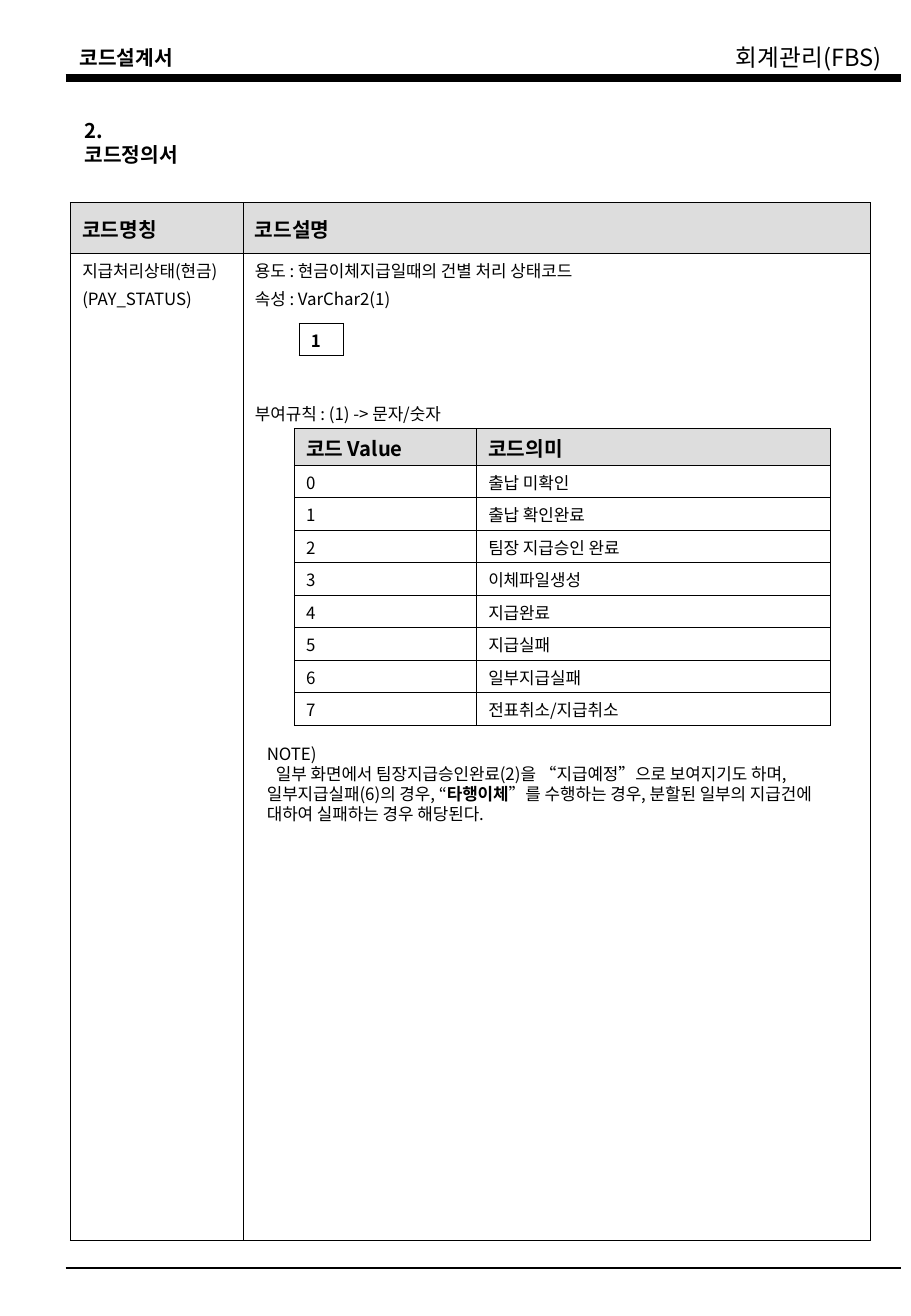
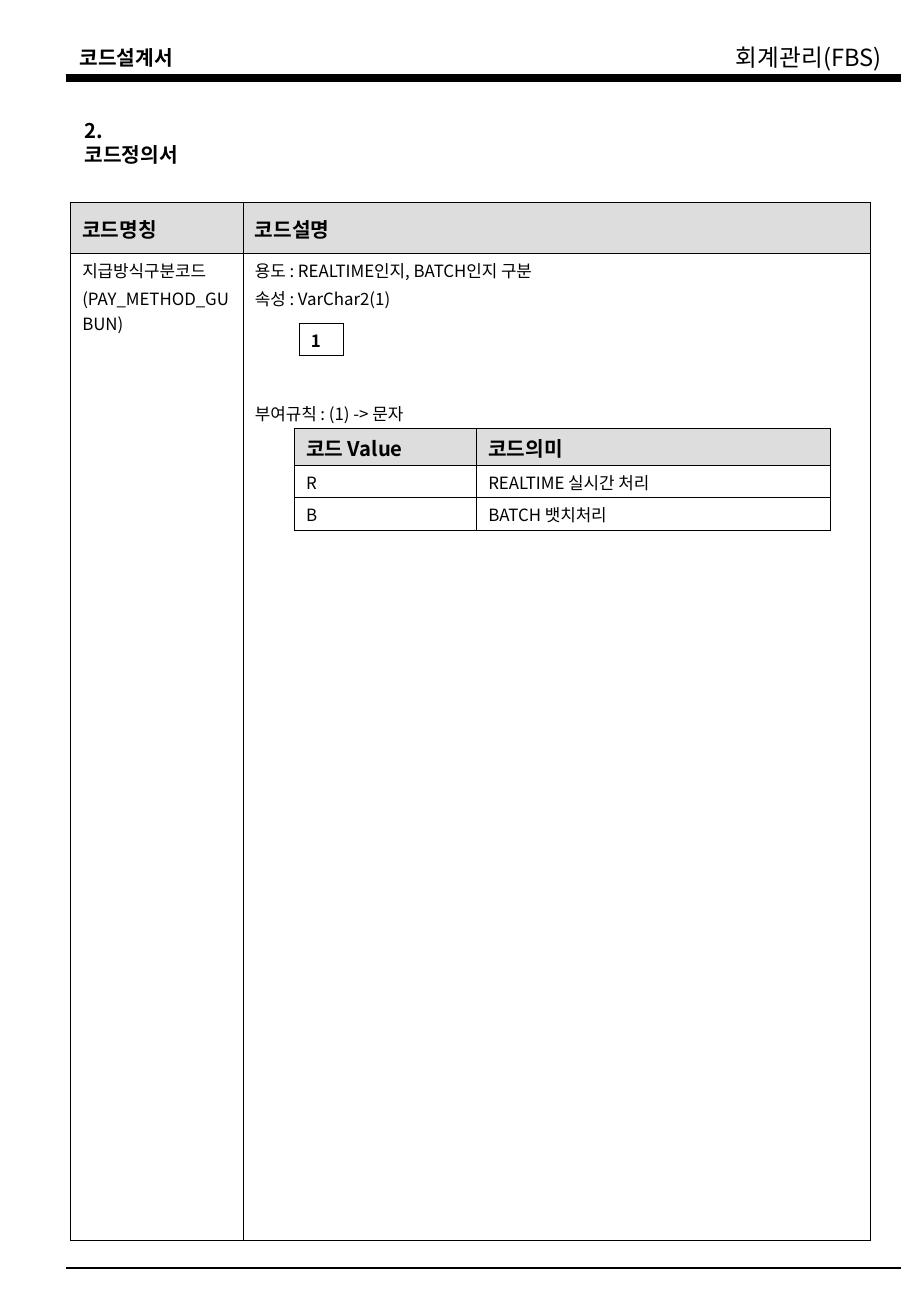
from lxml import etree
from pptx import Presentation, util as u
from pptx.dml.color import RGBColor
from pptx.enum import shapes, text
from pptx.oxml import ns

FONT = "Noto Sans CJK KR"
COLORS = {"ink": "000000", "header": "DDDDDD"}
LEFT, RIGHT = 1.37, 18.85
THIN, THICK = 0.45, 0.75
HEADER_ROW, CODE_ROW = 0.76, 0.68
LEADING = {10: 12, 12: 14.5, 14: 17}


def color(name):
    return RGBColor.from_string(COLORS[name])


def style(para, size, bold=False, leading=None, before=0):
    para.alignment = text.PP_ALIGN.LEFT
    para.line_spacing = u.Pt(leading or LEADING[size])
    para.space_before = u.Pt(before)
    font = para.font
    font.size = u.Pt(size)
    font.bold = bold
    font.color.rgb = color("ink")
    font.name = FONT
    east_asian = etree.SubElement(font._element.find(ns.qn("a:defRPr"))
                                  if font._element.tag == ns.qn("a:pPr")
                                  else font._element, ns.qn("a:ea"))
    east_asian.set("typeface", FONT)


def set_frame(frame, wrap=False):
    frame.auto_size = text.MSO_AUTO_SIZE.NONE
    frame.word_wrap = wrap
    frame.vertical_anchor = text.MSO_ANCHOR.TOP
    frame.margin_left = frame.margin_right = u.Cm(0.25)
    frame.margin_top = frame.margin_bottom = u.Cm(0.13)


def add_label(page, box, words, size, bold=False):
    label = page.shapes.add_textbox(*map(u.Cm, box))
    set_frame(label.text_frame)
    label.text_frame.text = words
    style(label.text_frame.paragraphs[0], size, bold)


def add_rule(page, top, weight):
    rule = page.shapes.add_connector(shapes.MSO_CONNECTOR.STRAIGHT,
                                     u.Cm(LEFT), u.Cm(top), u.Cm(RIGHT), u.Cm(top))
    rule.line.color.rgb = color("ink")
    rule.line.width = u.Pt(weight)
    etree.SubElement(rule._element.spPr, ns.qn("a:effectLst"))


def add_page_frame(page):
    add_label(page, (1.42, 0.81, 2.44, 0.76), "코드설계서", 12, True)
    add_rule(page, 1.63, 4.5)
    add_rule(page, 26.52, 1)
    add_label(page, (15.14, 0.76, 3.68, 0.86), "회계관리(FBS)", 14)


def set_title(page, words):
    title = page.shapes.title
    title.left, title.top, title.width, title.height = map(u.Cm, (1.52, 2.34, 3.02, 1.3))
    set_frame(title.text_frame)
    title.text_frame.text = words
    style(title.text_frame.paragraphs[0], 12, True)


def set_borders(cell, weights):
    properties = cell._tc.get_or_add_tcPr()
    for index, (side, weight) in enumerate(zip("LRTB", weights)):
        line = etree.Element(ns.qn(f"a:ln{side}"), w=str(u.Pt(weight)))
        fill = etree.SubElement(line, ns.qn("a:solidFill"))
        etree.SubElement(fill, ns.qn("a:srgbClr"), val=COLORS["ink"])
        properties.insert(index, line)


def add_grid(page, left, top, widths, heights, edge=THIN):
    rows, columns = len(heights), len(widths)
    frame = page.shapes.add_table(rows, columns, u.Cm(left), u.Cm(top),
                                  u.Cm(sum(widths)), u.Cm(sum(heights)))
    grid = frame.table
    grid.first_row = grid.horz_banding = False
    for column, width in zip(grid.columns, widths):
        column.width = u.Cm(width)
    for row, height in zip(grid.rows, heights):
        row.height = u.Cm(height)
    for r in range(rows):
        for c in range(columns):
            cell = grid.cell(r, c)
            cell.fill.background()
            on_edge = (c == 0, c == columns - 1, r == 0, r == rows - 1)
            set_borders(cell, [edge if outer else THIN for outer in on_edge])
    return grid


def fill_cell(cell, words, size=10, bold=False, middle=False, top=0.18):
    cell.margin_left = cell.margin_right = u.Cm(0.25)
    cell.margin_top, cell.margin_bottom = u.Cm(top), u.Cm(0.07)
    cell.vertical_anchor = text.MSO_ANCHOR.MIDDLE if middle else text.MSO_ANCHOR.TOP
    cell.text_frame.text = words
    style(cell.text_frame.paragraphs[0], size, bold)


def fill_header(grid, names):
    for c, name in enumerate(names):
        cell = grid.cell(0, c)
        fill_cell(cell, name, 12, True, True)
        cell.fill.solid()
        cell.fill.fore_color.rgb = color("header")


def fill_lines(cell, lines, gaps):
    fill_cell(cell, "\n".join(lines), top=0.09)
    for para, gap in zip(cell.text_frame.paragraphs, gaps):
        style(para, 10, leading=14.5, before=gap)


def add_definition(page, left, top, name_lines, detail_lines):
    grid = add_grid(page, left, top, (3.61, 13.12), (1.06, 20.66), THICK)
    fill_header(grid, ("코드명칭", "코드설명"))
    fill_lines(grid.cell(1, 0), name_lines, (0, 2.5))
    fill_lines(grid.cell(1, 1), detail_lines, (0, 2.5, 53.5))


def add_codes(page, left, top, codes):
    heights = [HEADER_ROW] + [CODE_ROW] * len(codes)
    grid = add_grid(page, left, top, (3.81, 7.41), heights)
    fill_header(grid, ("코드 Value", "코드의미"))
    for r, code in enumerate(codes, 1):
        for c, words in enumerate(code):
            fill_cell(grid.cell(r, c), words)


def add_digit_box(page, left, top):
    grid = add_grid(page, left, top, (0.94,), (CODE_ROW,))
    fill_cell(grid.cell(0, 0), "1", bold=True, middle=True)


def add_note(page, box, heading, spans):
    note = page.shapes.add_textbox(*map(u.Cm, box))
    frame = note.text_frame
    set_frame(frame, wrap=True)
    frame.text = heading
    style(frame.paragraphs[0], 10)
    para = frame.add_paragraph()
    para._p.get_or_add_pPr().set("indent", str(u.Cm(0.19)))
    style(para, 10)
    for words, bold in spans:
        span = para.add_run()
        span.text = words
        if bold:
            span.font.bold = True


def add_code_page(deck, name_lines, usage, rule, codes, note=None):
    page = deck.slides.add_slide(deck.slide_layouts[5])
    left, top = 1.47, 4.24
    add_page_frame(page)
    set_title(page, "2.\v코드정의서")
    details = (f"용도 : {usage}", "속성 : VarChar2(1)", f"부여규칙 : (1) -> {rule}")
    add_definition(page, left, top, name_lines, details)
    add_codes(page, left + 4.68, top + 4.73, codes)
    add_digit_box(page, left + 4.78, top + 2.52)
    if note:
        add_note(page, (left + 3.86, top + 11.18, 12.19, 1.96), "NOTE)", note)


def main():
    deck = Presentation()
    deck.slide_width, deck.slide_height = u.Cm(19.05), u.Cm(27.53)
    meanings = ("출납 미확인", "출납 확인완료", "팀장 지급승인 완료", "이체파일생성",
                "지급완료", "지급실패", "일부지급실패", "전표취소/지급취소")
    add_code_page(
        deck, ("지급처리상태(현금)", "(PAY_STATUS)"),
        "현금이체지급일때의 건별 처리 상태코드", "문자/숫자",
        [(str(value), meaning) for value, meaning in enumerate(meanings)],
        (("일부 화면에서 팀장지급승인완료(2)을 “지급예정”으로 보여지기도 하며, "
          "일부지급실패(6)의 경우, “", False),
         ("타행이체", True),
         ("”를 수행하는 경우, 분할된 일부의 지급건에 대하여 실패하는 경우 해당된다.", False)))
    add_code_page(
        deck, ("지급방식구분코드", "(PAY_METHOD_GUBUN)"),
        "REALTIME인지, BATCH인지 구분", "문자",
        (("R", "REALTIME 실시간 처리"), ("B", "BATCH 뱃치처리")))
    deck.save("out.pptx")


if __name__ == "__main__":
    main()
